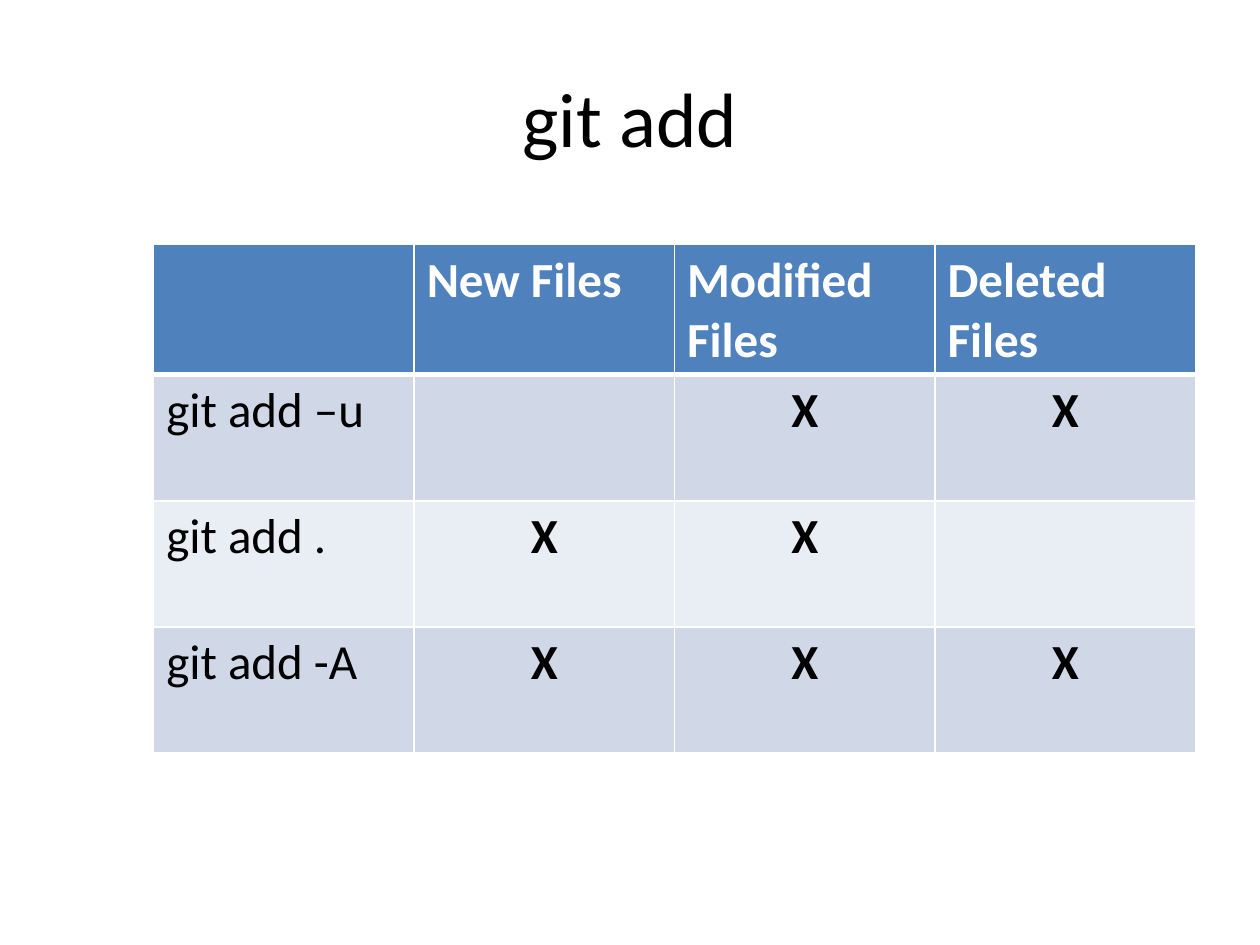
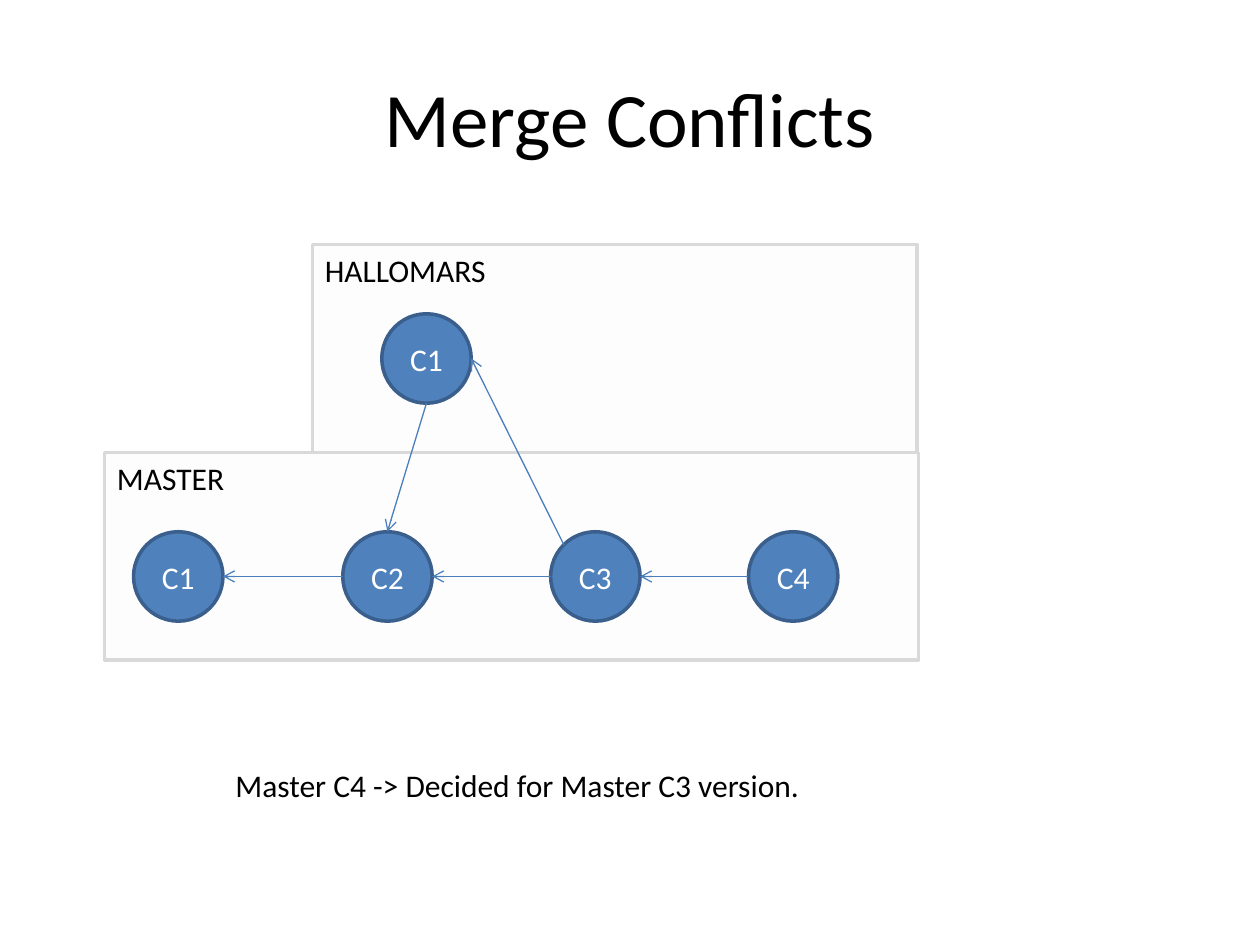
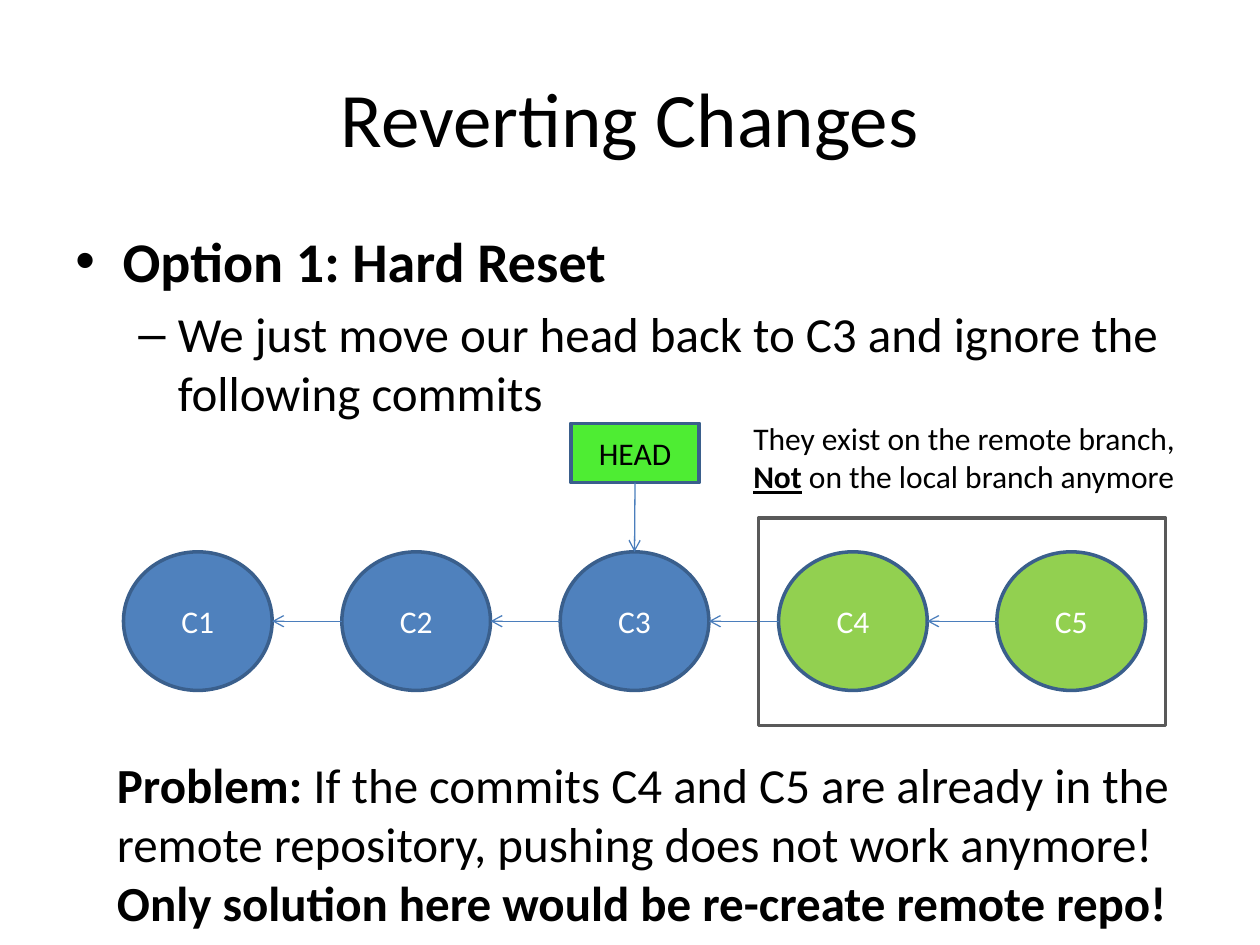
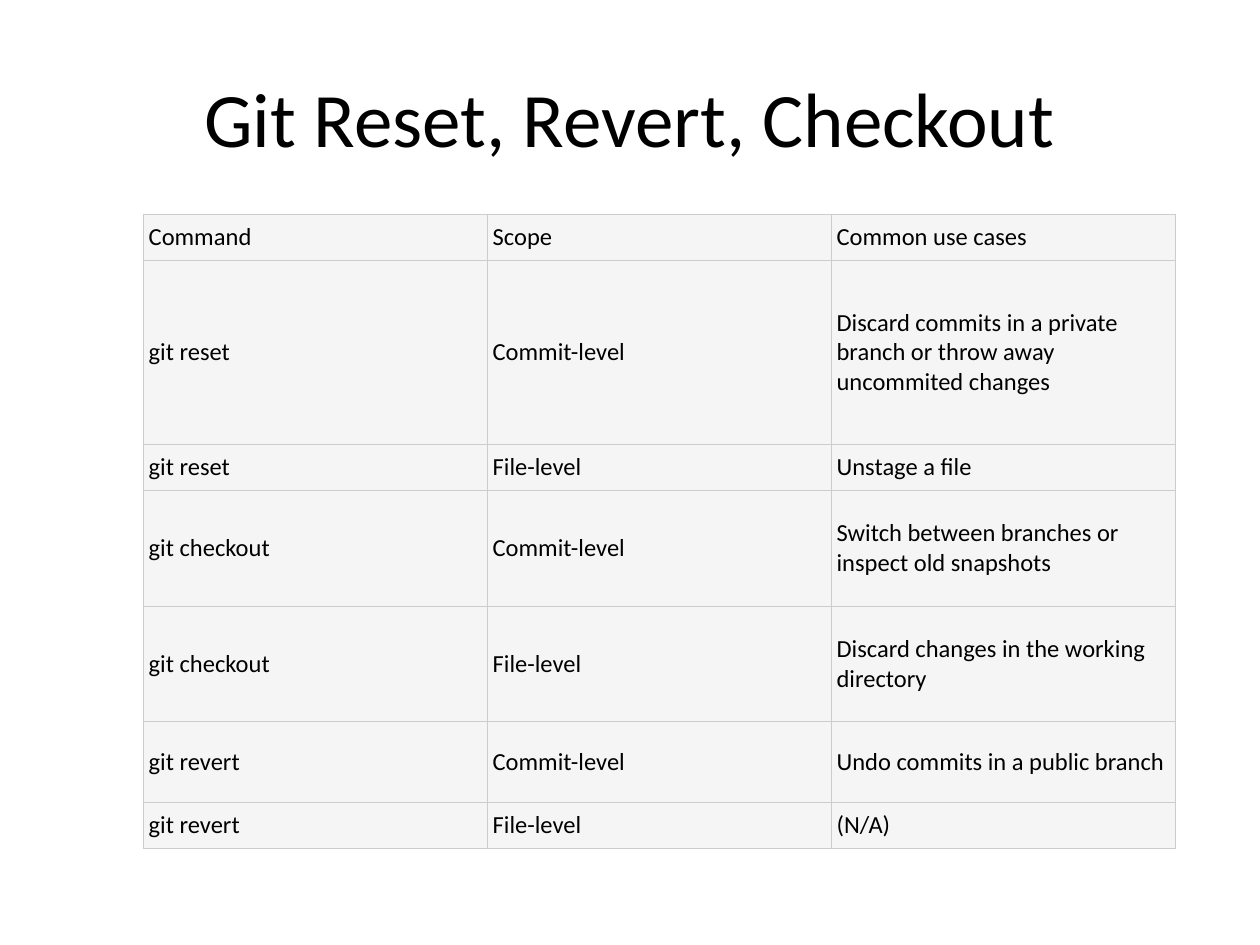
from dataclasses import dataclass

from lxml import etree
from pptx import Presentation
from pptx import util as u
from pptx.dml.color import RGBColor
from pptx.enum import shapes, text
from pptx.oxml.ns import qn


@dataclass(frozen=True)
class Theme:
    font: str = "Calibri"
    black: str = "000000"
    white: str = "FFFFFF"
    blue: str = "4F81BD"
    outline: str = "3A5F8C"
    arrow: str = "4B7EBC"
    green: str = "92D050"
    head: str = "4EED33"
    panel: str = "D9D9D9"
    frame: str = "595959"
    band_dark: str = "D0D8E8"
    band_light: str = "E9EDF4"
    cell: str = "F5F5F5"
    rule: str = "CCCCCC"
    title_size: int = 44
    lead_size: int = 32
    large_size: int = 28
    label_size: int = 18
    small_size: int = 14


TOP, LEFT, BOTTOM, RIGHT = (0.5, 0), (0, 0.5), (0.5, 1), (1, 0.5)
UPPER_LEFT = (0.15, 0.15)
CENTER = text.PP_ALIGN.CENTER
MIDDLE = text.MSO_ANCHOR.MIDDLE
RECTANGLE = shapes.MSO_SHAPE.RECTANGLE
OVAL = shapes.MSO_SHAPE.OVAL


class Builder:
    columns, rows = 100, 75

    def __init__(self, theme):
        self.theme = theme
        self.deck = Presentation()
        self.deck.slide_width = u.Inches(10)
        self.deck.slide_height = u.Inches(7.5)
        self.page = None

    def x(self, columns):
        return round(self.deck.slide_width * columns / self.columns)

    def y(self, rows):
        return round(self.deck.slide_height * rows / self.rows)

    def place(self, left, top, width, height):
        return self.x(left), self.y(top), self.x(width), self.y(height)

    def new_page(self):
        self.page = self.deck.slides.add_slide(self.deck.slide_layouts[6])

    def add_paras(self, frame, paras, size, color=None, align=None):
        for number, spans in enumerate(paras):
            para = frame.paragraphs[0] if number == 0 else frame.add_paragraph()
            if align is not None:
                para.alignment = align
            for words, style in spans:
                span = para.add_run()
                span.text = words
                font = span.font
                font.name = self.theme.font
                font.size = u.Pt(size)
                font.bold = "b" in style
                font.underline = "u" in style
                font.color.rgb = RGBColor.from_string(color or self.theme.black)

    def text(self, area, paras, size, align=None, anchor=text.MSO_ANCHOR.TOP, wrap=True, grow=False):
        box = self.page.shapes.add_textbox(*self.place(*area))
        frame = box.text_frame
        frame.word_wrap = wrap
        frame.vertical_anchor = anchor
        if grow:
            frame.auto_size = text.MSO_AUTO_SIZE.SHAPE_TO_FIT_TEXT
        self.add_paras(frame, paras, size, align=align)
        return box

    def title(self, words):
        self.text((5, 3, 90, 12.5), [[(words, "")]], self.theme.title_size, CENTER, MIDDLE)

    def bullets(self, area, items):
        box = self.text(area, [[(words, style)] for words, style, *_ in items], self.theme.lead_size)
        for para, (_, _, level, size, mark, margin, hang) in zip(box.text_frame.paragraphs, items):
            para.level = level
            para.space_before = u.Pt(size * 0.2)
            para.runs[0].font.size = u.Pt(size)
            props = para._p.get_or_add_pPr()
            props.set("marL", str(self.x(margin)))
            props.set("indent", str(-self.x(hang)))
            etree.SubElement(props, qn("a:buFont"), typeface="Arial")
            etree.SubElement(props, qn("a:buChar"), char=mark)

    def shape(self, kind, area, fill, line, label="", color=None, align=CENTER, anchor=MIDDLE, opacity=None):
        box = self.page.shapes.add_shape(kind, *self.place(*area))
        box.shadow.inherit = False
        if fill:
            box.fill.solid()
            box.fill.fore_color.rgb = RGBColor.from_string(fill)
        else:
            box.fill.background()
        if opacity:
            tint = box.element.spPr.find(qn("a:solidFill")).find(qn("a:srgbClr"))
            etree.SubElement(tint, qn("a:alpha"), val=str(opacity * 1000))
        box.line.color.rgb = RGBColor.from_string(line)
        box.line.width = u.Pt(2)
        if label:
            box.text_frame.vertical_anchor = anchor
            self.add_paras(box.text_frame, [[(label, "")]], self.theme.label_size, color, align)
        return box

    def commit(self, label, area, fill=None):
        look = self.theme
        return self.shape(OVAL, area, fill or look.blue, look.outline, label, look.white)

    def branch(self, label, area):
        look = self.theme
        self.shape(RECTANGLE, area, look.panel, look.panel, label, look.black,
                   text.PP_ALIGN.LEFT, text.MSO_ANCHOR.TOP, opacity=4)

    def arrow(self, start, start_side, end, end_side):
        points = []
        for box, (across, down) in ((start, start_side), (end, end_side)):
            points += [round(box.left + box.width * across), round(box.top + box.height * down)]
        link = self.page.shapes.add_connector(shapes.MSO_CONNECTOR.STRAIGHT, *points)
        link.line.color.rgb = RGBColor.from_string(self.theme.arrow)
        link.line.width = u.Pt(0.75)
        outline = link.element.spPr.find(qn("a:ln"))
        etree.SubElement(outline, qn("a:tailEnd"), type="arrow")
        etree.SubElement(link.element.spPr, qn("a:effectLst"))

    def history(self, commits):
        for parent, child in zip(commits, commits[1:]):
            self.arrow(child, LEFT, parent, RIGHT)

    def table(self, left, top, column_width, heights, cells):
        total = column_width * len(cells[0])
        area = self.place(left, top, total, sum(heights))
        grid = self.page.shapes.add_table(len(cells), len(cells[0]), *area).table
        grid.first_row = grid.horz_banding = False
        for column in grid.columns:
            column.width = self.x(column_width)
        for row, height in zip(grid.rows, heights):
            row.height = self.y(height)
        return grid

    def cell(self, cell, words, size, fill, border, widths, color=None, bold=False, align=None):
        props = cell._tc.get_or_add_tcPr()
        for side, width in zip("LRTB", widths):
            edge = etree.SubElement(props, qn(f"a:ln{side}"), w=str(u.Pt(width)))
            paint = etree.SubElement(edge, qn("a:solidFill"))
            etree.SubElement(paint, qn("a:srgbClr"), val=border)
        cell.fill.solid()
        cell.fill.fore_color.rgb = RGBColor.from_string(fill)
        if words:
            self.add_paras(cell.text_frame, [[(words, "b" if bold else "")]], size, color, align)


def add_page(build):
    look = build.theme
    build.new_page()
    build.title("git add")
    cells = [
        ["", "New Files", "Modified Files", "Deleted Files"],
        ["git add –u", "", "X", "X"],
        ["git add .", "X", "X", ""],
        ["git add -A", "X", "X", "X"],
    ]
    grid = build.table(12.2, 19.4, 20.67, [10] * 4, cells)
    for row, line in enumerate(cells):
        header = row == 0
        fill = look.blue if header else look.band_dark if row % 2 else look.band_light
        widths = (1, 1, 3 if row == 1 else 1, 3 if header else 1)
        for column, words in enumerate(line):
            build.cell(grid.cell(row, column), words, look.large_size, fill, look.white, widths,
                       look.white if header else look.black, header or column > 0,
                       CENTER if words == "X" else None)


def merge_page(build):
    build.new_page()
    build.branch("HALLOMARS", (24.8, 19.4, 48, 16.5))
    build.branch("MASTER", (8.3, 35.9, 64.6, 16.5))
    build.title("Merge Conflicts")
    size = 7.1
    master = [build.commit(f"C{number}", (left, 42.2, size, size))
              for number, left in enumerate((10.6, 27.2, 43.7, 59.4), 1)]
    side = build.commit("C1", (30.3, 24.9, size, size))
    build.history(master)
    build.arrow(side, BOTTOM, master[1], TOP)
    build.arrow(master[2], UPPER_LEFT, side, RIGHT)
    build.text((17.7, 60.3, 71.7, 4), [[("Master C4 -> Decided for Master C3 version.", "")]],
               build.theme.label_size, grow=True)


def revert_page(build):
    look = build.theme
    build.new_page()
    build.title("Reverting Changes")
    build.bullets((5, 17.5, 90, 15.3), [
        ("Option 1: Hard Reset", "b", 0, look.lead_size, "•", 3.75, 3.75),
        ("We just move our head back to C3 and ignore the following commits", "",
         1, look.large_size, "–", 8.13, 3.13),
    ])
    commits = [build.commit(f"C{index + 1}", (9.8 + 17.33 * index, 43.8, 11.8, 11),
                            look.blue if index < 3 else look.green)
               for index in range(5)]
    head = build.shape(RECTANGLE, (45.3, 33.6, 10.2, 4.7), look.head, look.outline, "HEAD", look.black)
    build.arrow(head, BOTTOM, commits[2], TOP)
    build.history(commits)
    build.text((8.3, 59.4, 89.8, 15.1), [
        [("Problem: ", "b"),
         ("If the commits C4 and C5 are already in the remote repository, "
          "pushing does not work anymore!", "")],
        [("Only solution here would be re-create remote repo!", "b")],
    ], look.large_size, grow=True)
    build.shape(RECTANGLE, (60.2, 41.1, 32.3, 16.5), None, look.frame)
    build.text((58.8, 32.8, 35.9, 7.1), [
        [("They exist on the remote branch,", "")],
        [("Not", "bu"), (" on the local branch anymore", "")],
    ], look.label_size, wrap=False, grow=True)


def commands_page(build):
    look = build.theme
    build.new_page()
    build.title("Git Reset, Revert, Checkout")
    cells = [
        ("Command", "Scope", "Common use cases"),
        ("git reset", "Commit-level",
         "Discard commits in a private branch or throw away uncommited changes"),
        ("git reset", "File-level", "Unstage a file"),
        ("git checkout", "Commit-level", "Switch between branches or inspect old snapshots"),
        ("git checkout", "File-level", "Discard changes in the working directory"),
        ("git revert", "Commit-level", "Undo commits in a public branch"),
        ("git revert", "File-level", "(N/A)"),
    ]
    grid = build.table(11.4, 17, 27.3, [3.67, 14.6, 3.67, 9.17, 9.17, 6.4, 3.67], cells)
    for row, line in enumerate(cells):
        for column, words in enumerate(line):
            cell = grid.cell(row, column)
            cell.vertical_anchor = MIDDLE
            cell.margin_left = cell.margin_right = build.x(0.4)
            cell.margin_top = cell.margin_bottom = build.y(0.4)
            build.cell(cell, words, look.small_size, look.cell, look.rule, (0.75,) * 4)


def main():
    build = Builder(Theme())
    for make_page in (add_page, merge_page, revert_page, commands_page):
        make_page(build)
    build.deck.save("out.pptx")


if __name__ == "__main__":
    main()
